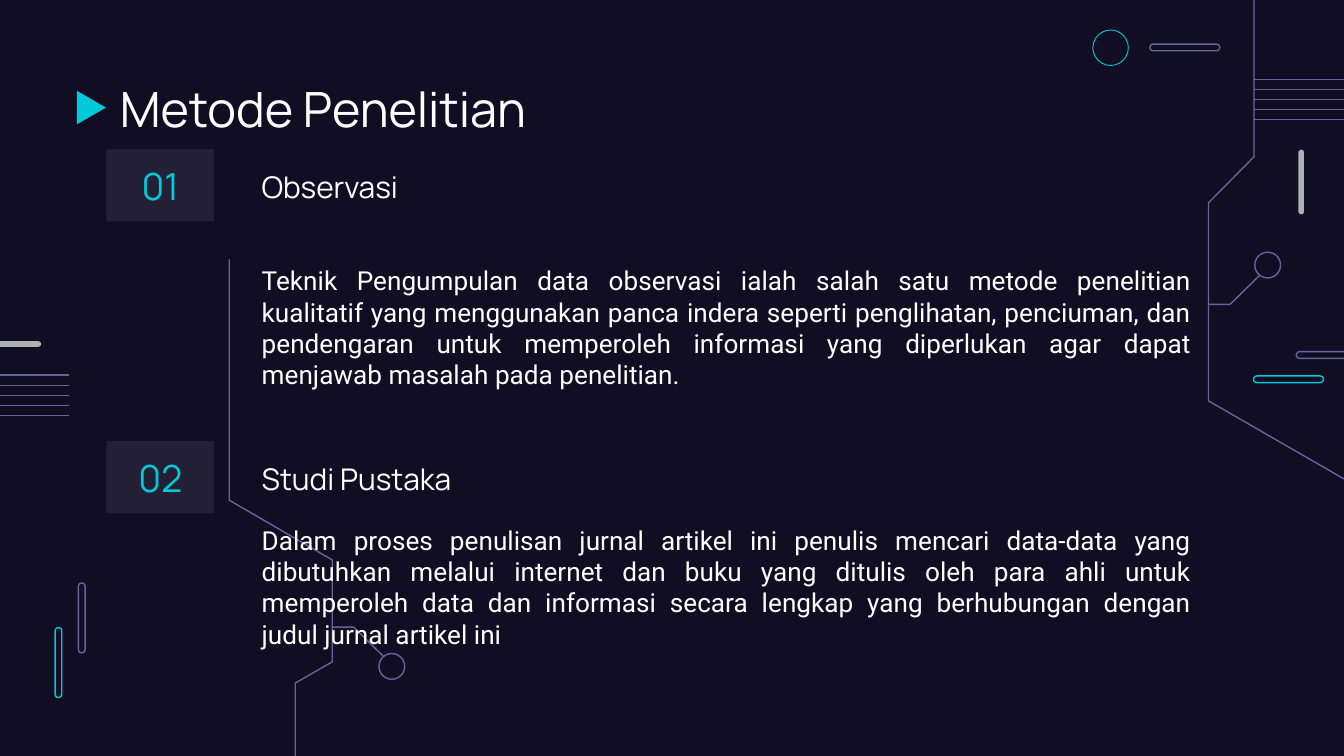
"""Build the research methods slide with its circuit-style decoration."""
from lxml.etree import SubElement as Sub
from pptx import Presentation as Deck
from pptx.dml.color import RGBColor as Color
from pptx.enum.shapes import MSO_CONNECTOR as Conn, MSO_SHAPE as Kind
from pptx.enum.text import MSO_ANCHOR as Anchor, MSO_AUTO_SIZE as Fit, PP_ALIGN as Align
from pptx.oxml.ns import qn
from pptx.util import Pt

HUES = {"back": "110E24", "cyan": "00CADA", "purple": "69639C", "grey": "AFAFB6", "white": "FFFFFF"}
WIDE, HIGH = 720, 405

ITEMS = [
    ("01", "Observasi", 80,
     "Teknik Pengumpulan data observasi ialah salah satu metode penelitian kualitatif yang "
     "menggunakan panca indera seperti penglihatan, penciuman, dan pendengaran untuk memperoleh "
     "informasi yang diperlukan agar dapat menjawab masalah pada penelitian.", 113.8),
    ("02", "Studi Pustaka", 236.4,
     "Dalam proses penulisan jurnal artikel ini penulis mencari data-data yang dibutuhkan melalui "
     "internet dan buku yang ditulis oleh para ahli untuk memperoleh data dan informasi secara "
     "lengkap yang berhubungan dengan judul jurnal artikel ini", 252.7),
]


def hue(name):
    return Color.from_string(HUES[name])


def style(shape, fill=None, line=None, width=0.75):
    shape.shadow.inherit = False
    if fill:
        shape.fill.solid()
        shape.fill.fore_color.rgb = hue(fill)
    else:
        shape.fill.background()
    if line:
        shape.line.color.rgb = hue(line)
        shape.line.width = Pt(width)
    else:
        shape.line.fill.background()


def form(slide, kind, box, **look):
    shape = slide.shapes.add_shape(kind, *map(Pt, box))
    style(shape, **look)
    return shape


def pill(slide, box, **look):
    form(slide, Kind.ROUNDED_RECTANGLE, box, **look).adjustments[0] = 0.5


def trace(slide, *spots):
    first, *rest = [(Pt(x), Pt(y)) for x, y in spots]
    pen = slide.shapes.build_freeform(*first)
    pen.add_line_segments(rest, close=False)
    style(pen.convert_to_shape(), line="purple")


def stripes(slide, left, right, top):
    for step in range(5):
        y = Pt(top + step * 5.38)
        line = slide.shapes.add_connector(Conn.STRAIGHT, Pt(left), y, Pt(right), y)
        line.line.color.rgb = hue("purple")
        line.line.width = Pt(0.75)
        Sub(line.element.spPr, qn("a:effectLst"))


def write(shape, text, size, font="Manrope", color="white", align=Align.LEFT, anchor=Anchor.MIDDLE):
    frame = shape.text_frame
    frame.word_wrap = True
    frame.auto_size = Fit.NONE
    frame.vertical_anchor = anchor
    frame.margin_left = frame.margin_right = frame.margin_top = frame.margin_bottom = Pt(7.2)
    frame.text = text
    para = frame.paragraphs[0]
    para.alignment = align
    para.space_before = Pt(0)
    props = para._p.get_or_add_pPr()
    props.set("marL", "0")
    props.set("indent", "0")
    Sub(props, qn("a:buNone"))
    face = para.runs[0].font
    face.name, face.size, face.bold = font, Pt(size), False
    face.color.rgb = hue(color)


def place(slide, holder, box):
    holder.left, holder.top, holder.width, holder.height = map(Pt, box)
    slide.shapes.element.append(holder.element)
    return holder


def badge(slide, text, top):
    shape = form(slide, Kind.RECTANGLE, (57, top, 57.8, 38.6), fill="white")
    tint = shape.element.spPr.find(qn("a:solidFill"))[0]
    Sub(tint, qn("a:alpha"), val="8000")
    write(shape, text, 20, color="cyan", align=Align.CENTER)


def adorn(slide):
    for x, y, line in [(29.5, 336.2, "cyan"), (42, 312.3, "purple")]:
        pill(slide, (x, y, 3.6, 37.5), line=line)
    for x, y, line in [(671.5, 201.4, "cyan"), (694.4, 188.4, "purple"), (616, 23.6, "purple")]:
        pill(slide, (x, y, 37.5, 3.6), line=line)
    pill(slide, (695.6, 80.2, 3, 34.6), fill="grey")
    pill(slide, (-12.8, 182.8, 34.8, 3), fill="grey")
    form(slide, Kind.OVAL, (585.5, 16.1, 19, 19), line="cyan", width=0.47)
    trace(slide, (WIDE, 256.6), (647.4, 214.8), (647.4, 108.7), (671.8, 84), (671.8, 0))
    trace(slide, (674.9, 147.5), (659, 163.1), (647.4, 163.1))
    trace(slide, (122.8, 139), (122.8, 268), (178, 300), (178, 354.6), (158.2, 366), (158.2, HIGH))
    trace(slide, (205.3, 351.5), (189.5, 336), (178, 336))
    for x, y in [(672.2, 135.1), (203, 350.1)]:
        form(slide, Kind.OVAL, (x, y, 13.8, 13.8), line="purple")
    stripes(slide, 671.8, WIDE, 42.6)
    stripes(slide, 0, 37, 201)
    form(slide, Kind.FLOWCHART_MERGE, (40, 49.8, 18, 15.6), fill="cyan").rotation = 270


def main():
    deck = Deck()
    deck.slide_width, deck.slide_height = Pt(WIDE), Pt(HIGH)
    slide = deck.slides.add_slide(deck.slide_layouts[4])
    slide.background.fill.solid()
    slide.background.fill.fore_color.rgb = hue("back")
    title, *slots = list(slide.placeholders)
    adorn(slide)
    write(place(slide, title, (57, 35.3, 607, 45.4)), "Metode Penelitian", 26, anchor=Anchor.TOP)
    for (mark, name, top, text, low), head, body in zip(ITEMS, slots[::2], slots[1::2]):
        badge(slide, mark, top)
        write(place(slide, head, (133, top + 0.5, 214, 38.6)), name, 16)
        write(place(slide, body, (133, low, 512.4, 123.2)), text, 14, font="Roboto", align=Align.JUSTIFY)
    deck.save("out.pptx")


if __name__ == "__main__":
    main()
